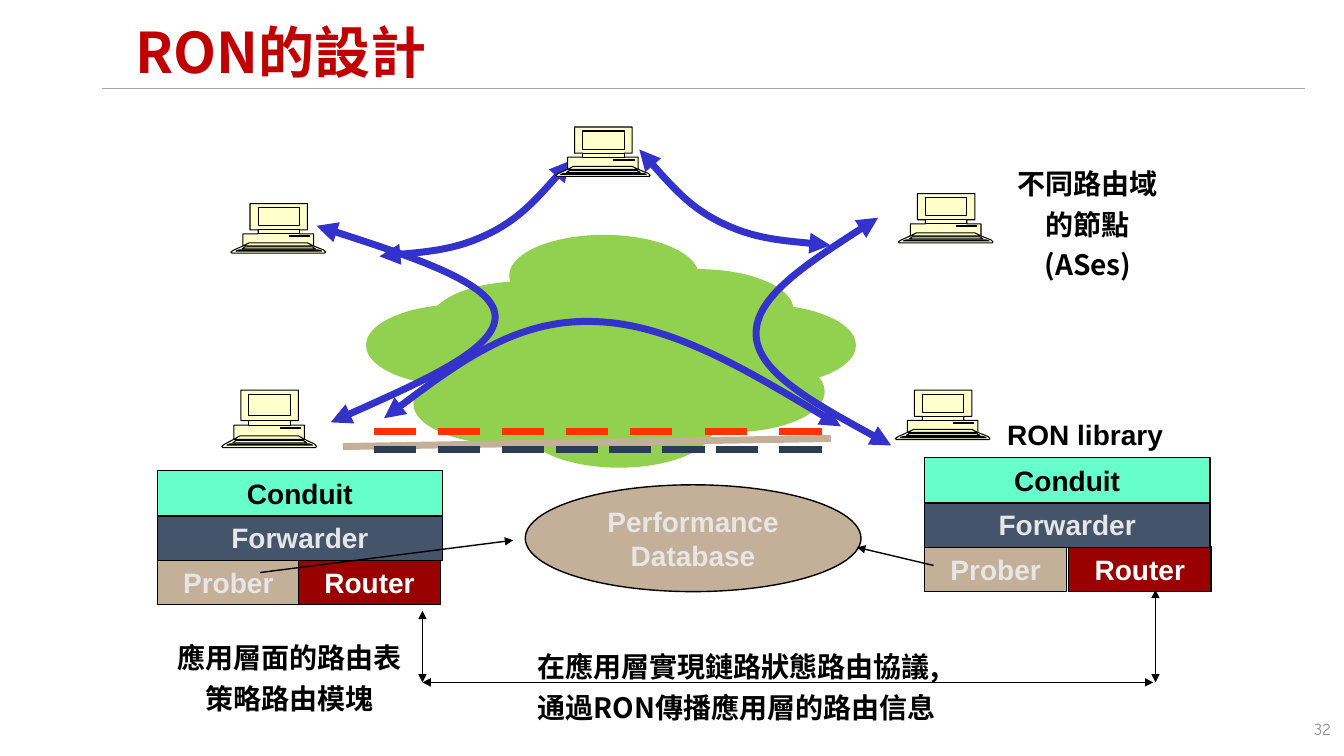
from itertools import accumulate

from lxml import etree
from pptx import Presentation
from pptx import util as u
from pptx.dml.color import RGBColor
from pptx.enum import shapes, text
from pptx.oxml import ns

PX = 9144  # EMU per px, 100 px to the inch
CJK, LATIN = "Noto Sans CJK SC", "Arial"
COLORS = {
    "title": "C00000", "rule": "A6A6A6", "cloud": "92D050", "paper": "FFFFCC",
    "black": "000000", "white": "FFFFFF", "pale": "E7E6E6", "route": "3333CC",
    "tan": "C4AF99", "red dash": "FF3300", "navy dash": "2A3D52",
    "router": "990000", "forwarder": "44546A", "conduit": "66FFCC", "number": "8C8C8C",
}
LEFT, CENTER, RIGHT = text.PP_ALIGN.LEFT, text.PP_ALIGN.CENTER, text.PP_ALIGN.RIGHT
TOP, MIDDLE = text.MSO_ANCHOR.TOP, text.MSO_ANCHOR.MIDDLE
RECT, OVAL = shapes.MSO_SHAPE.RECTANGLE, shapes.MSO_SHAPE.OVAL


def color(name):
    return RGBColor.from_string(COLORS[name])


def emu(lengths):
    return [length * PX for length in lengths]


def add_node(parent, tag, **attributes):
    values = {key: str(value) for key, value in attributes.items()}
    return etree.SubElement(parent, ns.qn(tag), values)


def add_step(outline, tag, *points):
    """Append one drawing command with its points to an outline."""
    step = add_node(outline, tag)
    for x, y in points:
        add_node(step, "a:pt", x=x, y=y)


def write(box, words, size=20, font=CJK, ink="black", bold=True, align=CENTER,
          anchor=TOP, spacing=None, indent=0):
    """Fill a box with one paragraph per line of words."""
    frame = box.text_frame
    frame.word_wrap = True
    frame.auto_size = text.MSO_AUTO_SIZE.NONE
    frame.vertical_anchor = anchor
    for index, line in enumerate(words.split("\n")):
        para = frame.add_paragraph() if index else frame.paragraphs[0]
        para.alignment = align
        if spacing:
            para.line_spacing = spacing
        if indent:
            para._p.get_or_add_pPr().set("marL", str(indent * PX))
        span = para.add_run()
        span.text = line
        span.font.size, span.font.bold, span.font.name = u.Pt(size), bold, font
        span.font.color.rgb = color(ink)
        add_node(span._r.get_or_add_rPr(), "a:ea", typeface=font)


def rectangle(left, top, right, bottom):
    return [(left, top), (right, top), (right, bottom), (left, bottom)]


COMPUTER_SIZE = (94, 49)
COMPUTER_PARTS = {
    "body": [(92, 46), (82, 42), (82, 30), (68, 30), (68, 26), (76, 26), (76, 0),
             (19, 0), (19, 26), (27, 26), (27, 30), (12, 30), (12, 42), (3, 46),
             (0, 48), (1, 49), (93, 49), (94, 48)],
    "back keys": [(79, 42), (76, 41), (19, 41), (16, 42)],
    "middle keys": [(84, 45), (81, 43), (14, 43), (11, 45)],
    "front keys": [(90, 47), (87, 46), (8, 46), (5, 47)],
    "ledge": [(82, 42), (76, 39), (18, 39), (12, 42)],
    "drive": rectangle(58, 32, 78, 33),
    "screen": rectangle(27, 4, 68, 22),
    "neck": rectangle(27, 26, 68, 30),
}


class Page:
    """Holds the slide and draws each kind of element in one style."""

    def __init__(self, deck):
        self.shapes = deck.slides.add_slide(deck.slide_layouts[5]).shapes

    def title(self, words, *place, **style):
        box = self.shapes.title
        box.left, box.top, box.width, box.height = emu(place)
        write(box, words, **style)

    def label(self, words, *place, **style):
        write(self.shapes.add_textbox(*emu(place)), words, **style)

    def paint(self, shape, name):
        shape.fill.solid()
        shape.fill.fore_color.rgb = color(name)

    def stroke(self, shape, name, width, head=False, tail=False):
        shape.line.color.rgb = color(name)
        shape.line.width = u.Pt(width)
        line = shape.line._get_or_add_ln()
        for tag, wanted in (("a:headEnd", head), ("a:tailEnd", tail)):
            if wanted:
                add_node(line, tag, type="triangle")

    def shape(self, kind, fill, *place, words="", ink="black"):
        """Draw a preset shape; one with words also gets an outline."""
        box = self.shapes.add_shape(kind, *emu(place))
        box.shadow.inherit = False
        self.paint(box, fill)
        if words:
            self.stroke(box, "black", 1)
            write(box, words, font=LATIN, ink=ink, anchor=MIDDLE)
        else:
            box.line.fill.background()

    def line(self, *ends, name="black", width=1, **arrows):
        link = self.shapes.add_connector(shapes.MSO_CONNECTOR.STRAIGHT, *emu(ends))
        self.stroke(link, name, width, **arrows)
        add_node(link._element.spPr, "a:effectLst")

    def freeform(self, left, top, width, height):
        """Return a new freeform and its emptied list of outlines."""
        builder = self.shapes.build_freeform(left, top, scale=PX)
        builder.add_line_segments([(left + width, top + height)], close=False)
        shape = builder.convert_to_shape()
        shape.shadow.inherit = False
        outlines = next(shape._element.iter(ns.qn("a:pathLst")))
        outlines.clear()
        return shape, outlines

    def computer(self, left, top, height):
        width, drawn_height = COMPUTER_SIZE
        shape, outlines = self.freeform(left, top, width, height)
        self.paint(shape, "paper")
        self.stroke(shape, "black", 0.75)
        for start, *corners in COMPUTER_PARTS.values():
            outline = add_node(outlines, "a:path", w=width, h=drawn_height)
            add_step(outline, "a:moveTo", start)
            for corner in corners:
                add_step(outline, "a:lnTo", corner)
            add_node(outline, "a:close")

    def route(self, place, points, rotation=0):
        """Draw a Bezier curve: a start, then two controls and an end per segment."""
        left, top, width, height = place
        shape, outlines = self.freeform(*place)
        shape.fill.background()
        shape.rotation = rotation
        self.stroke(shape, "route", 5, head=True, tail=True)
        outline = add_node(outlines, "a:path", w=width, h=height, fill="none")
        start, *rest = [(x - left, y - top) for x, y in points]
        add_step(outline, "a:moveTo", start)
        for index in range(0, len(rest), 3):
            add_step(outline, "a:cubicBezTo", *rest[index:index + 3])

    def stack(self, left, top, router_left):
        """Draw the layers of one node, the lowest row first."""
        row_step, row_height, full, half = 44, 45, 283, 141
        for words, fill, ink, x, width, row in [
                ("Prober", "tan", "pale", left, half, 2),
                ("Router", "router", "white", router_left, half, 2),
                ("Forwarder", "forwarder", "pale", left, full, 1),
                ("Conduit", "conduit", "black", left, full, 0)]:
            self.shape(RECT, fill, x, top + row * row_step, width, row_height,
                       words=words, ink=ink)


def draw_cloud(page):
    for left, top in [(426, 279), (505, 233), (599, 267), (630, 302), (661, 302),
                      (630, 348), (520, 383), (363, 302), (505, 314), (410, 360)]:
        page.shape(OVAL, "cloud", left, top, 188, 81)


def draw_network(page):
    for place in [(888, 387, 49), (229, 202, 49), (220, 387, 57), (891, 192, 49)]:
        page.computer(*place)
    page.route((314, 224, 179, 195), [(328, 419), (411, 382), (493, 346), (491, 313),
                                      (489, 281), (401, 252), (314, 224)])
    page.route((748, 216, 137, 226), [(884, 442), (818, 406), (752, 370), (750, 333),
                                      (748, 295), (809, 256), (871, 216)])
    page.route((381, 317, 453, 106), [(381, 415), (446, 366), (512, 317), (587, 319),
                                      (662, 320), (748, 371), (834, 423)])
    arc = [(371, 207), (406, 220), (442, 234), (478, 234),
           (512, 234), (548, 219), (583, 204)]
    mirrored_arc = [(1200 - x, y - 11) for x, y in arc]
    page.route((371, 204, 212, 30), arc, rotation=-25.8)
    page.route((617, 193, 212, 30), mirrored_arc, rotation=25.8)
    page.computer(551, 126, 49)  # the top node covers the arrowhead beside it


def draw_link(page):
    """Draw the tan link between a red and a navy row of dashes."""
    page.line(340, 443, 824, 435, name="tan", width=5)
    for name, y, steps in [("red dash", 428, [63, 64, 63, 64, 74, 74]),
                           ("navy dash", 446, [63, 64, 53, 53, 53, 53, 63])]:
        for x in accumulate(steps, initial=371):
            page.line(x, y, x + 42, y, name=name, width=5)


def draw_modules(page):
    page.stack(156, 467, router_left=296)
    page.stack(917, 454, router_left=1060)
    for ends in [(419, 606, 419, 677), (419, 677, 1144, 677), (1146, 677, 1146, 585)]:
        page.line(*ends, head=True, tail=True)
    page.shape(OVAL, "tan", 521, 481, 333, 106, words="Performance\nDatabase", ink="pale")
    for ends in [(926, 561, 850, 543), (258, 568, 509, 536)]:
        page.line(*ends, tail=True)


def draw_captions(page):
    page.label("在應用層實現鏈路狀態路由協議,\n通過RON傳播應用層的路由信息", 454, 633, 522, 88,
               align=LEFT, spacing=1.2, indent=69)
    page.label("應用層面的路由表\n策略路由模塊", 164, 624, 246, 88, spacing=1.2)
    page.label("RON library", 989, 409, 221, 43, font=LATIN, align=LEFT)
    page.label("不同路由域\n的節點\n(ASes)", 982, 154, 194, 129, spacing=1.2)
    page.label("32", 1019, 708, 311, 40, size=12, font="Comic Neue", ink="number",
               bold=False, align=RIGHT)


def main():
    deck = Presentation()
    deck.slide_width, deck.slide_height = emu((1333, 750))
    page = Page(deck)
    page.line(101, 88, 1294, 88, name="rule")
    page.title("RON的設計", 124, 15, 1118, 79, size=40, ink="title", align=LEFT,
               anchor=MIDDLE, spacing=0.9)
    for draw in (draw_cloud, draw_network, draw_link, draw_modules, draw_captions):
        draw(page)
    deck.save("out.pptx")


if __name__ == "__main__":
    main()
